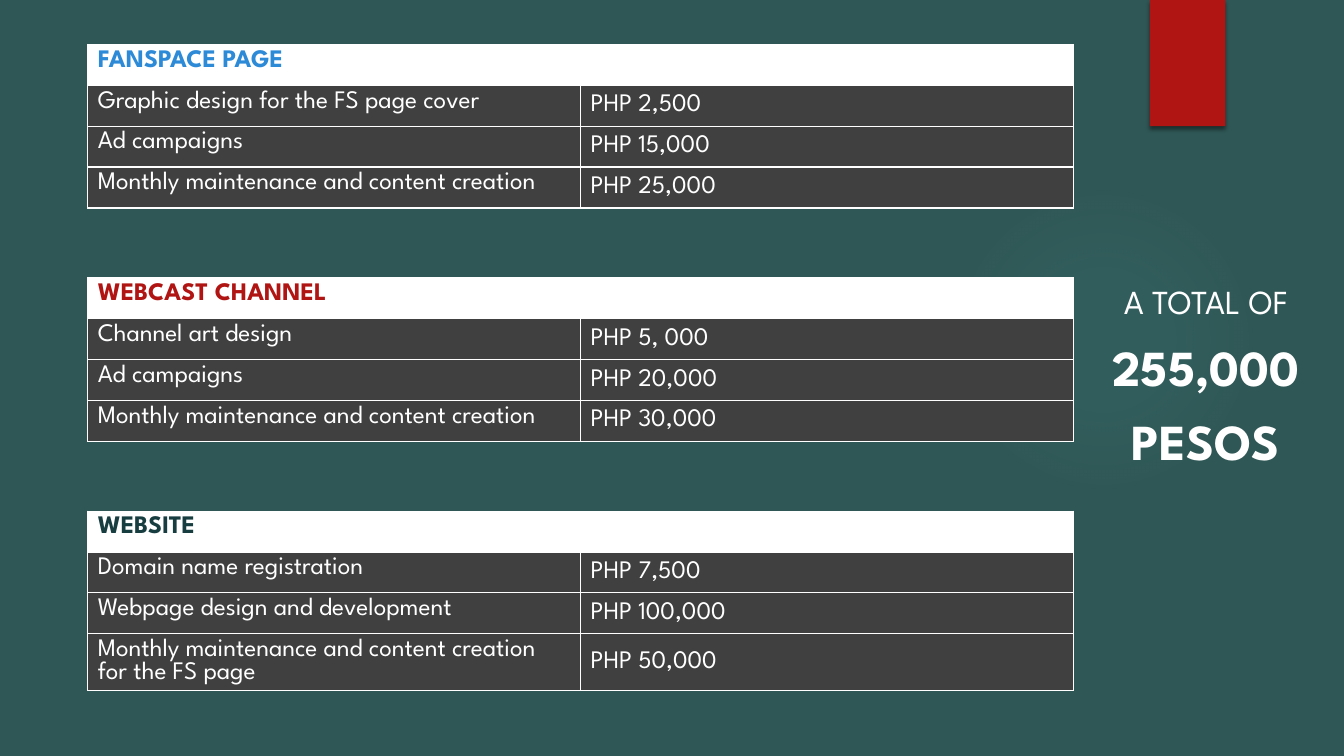
import pptx
import pptx.util
import pptx.oxml
import pptx.dml.color
import pptx.enum.shapes
import pptx.enum.text
from pptx.util import Cm

NS = 'xmlns:a="http://schemas.openxmlformats.org/drawingml/2006/main"'
FONT = "League Spartan"
COLORS = {
    "back": "2F5755", "glow": "50B9C1", "ribbon": "B01513", "shadow": "000000",
    "white": "FFFFFF", "row": "404040",
    "page": "2D8AD7", "channel": "B01513", "website": "173D40",
}
BUDGETS = [
    ("FANSPACE PAGE", "page", [
        ("Graphic design for the FS page cover", "PHP 2,500"),
        ("Ad campaigns", "PHP 15,000"),
        ("Monthly maintenance and content creation", "PHP 25,000")]),
    ("WEBCAST CHANNEL", "channel", [
        ("Channel art design", "PHP 5, 000"),
        ("Ad campaigns", "PHP 20,000"),
        ("Monthly maintenance and content creation", "PHP 30,000")]),
    ("WEBSITE", "website", [
        ("Domain name registration", "PHP 7,500"),
        ("Webpage design and development", "PHP 100,000"),
        ("Monthly maintenance and content creation for the FS page", "PHP 50,000")]),
]
TOTAL = [("A TOTAL OF", 24, False), ("255,000", 36, True), ("PESOS", 36, True)]
TABLE_LEFT, TABLE_TOP, TABLE_PITCH = 2.21, 1.12, 5.88
COL_WIDTH, ROW_HEIGHT = 12.42, 1.03


def rgb(name):
    return pptx.dml.color.RGBColor.from_string(COLORS[name])


def paint(fill, color):
    fill.solid()
    fill.fore_color.rgb = rgb(color)


def add_run(p, text, color, size, bold=False):
    r = p.add_run()
    r.text = text
    values = {"name": FONT, "size": pptx.util.Pt(size), "bold": bold}
    for key, value in values.items():
        setattr(r.font, key, value)
    r.font.color.rgb = rgb(color)


def add_plain_shape(s, kind, left, top, width, height):
    sp = s.shapes.add_shape(kind, Cm(left), Cm(top), Cm(width), Cm(height))
    sp.shadow.inherit = False
    sp.line.fill.background()
    return sp


def add_glow(s):
    sp = add_plain_shape(s, pptx.enum.shapes.MSO_SHAPE.OVAL, 23.9, 4.65, 7.82, 7.82)
    stops = "".join(
        f'<a:gs pos="{pos * 1000}"><a:srgbClr val="{COLORS["glow"]}">'
        f'<a:alpha val="{alpha * 1000}"/></a:srgbClr></a:gs>'
        for pos, alpha in [(0, 7), (36, 6), (69, 0), (100, 0)])
    grad = pptx.oxml.parse_xml(
        f'<a:gradFill {NS} rotWithShape="1"><a:gsLst>{stops}</a:gsLst><a:path path="circle">'
        '<a:fillToRect l="50000" t="50000" r="50000" b="50000"/></a:path></a:gradFill>')
    sp.fill.background()
    spPr = sp._element.spPr
    spPr.replace(spPr.find(pptx.oxml.ns.qn("a:noFill")), grad)


def add_ribbon(s):
    sp = add_plain_shape(s, pptx.enum.shapes.MSO_SHAPE.RECTANGLE, 28.98, 0, 1.9, 3.18)
    paint(sp.fill, "ribbon")
    effects = sp._element.spPr.find(pptx.oxml.ns.qn("a:effectLst"))
    effects.append(pptx.oxml.parse_xml(
        f'<a:outerShdw {NS} blurRad="38100" dist="25400" dir="5400000" rotWithShape="0">'
        f'<a:srgbClr val="{COLORS["shadow"]}"><a:alpha val="45000"/></a:srgbClr></a:outerShdw>'))


def format_cell(cell, fill):
    tcPr = cell._tc.get_or_add_tcPr()
    for side in "LRTB":
        tcPr.append(pptx.oxml.parse_xml(
            f'<a:ln{side} {NS} w="12700"><a:solidFill><a:srgbClr val="{COLORS["white"]}"/>'
            f'</a:solidFill></a:ln{side}>'))
    paint(cell.fill, fill)


def add_budget_table(s, top, title, color, items):
    rows = len(items) + 1
    table = s.shapes.add_table(rows, 2, Cm(TABLE_LEFT), Cm(top),
                               Cm(2 * COL_WIDTH), Cm(rows * ROW_HEIGHT)).table
    for col in table.columns:
        col.width = Cm(COL_WIDTH)
    for row in table.rows:
        row.height = Cm(ROW_HEIGHT)
    for cell in table.rows[0].cells:
        format_cell(cell, "white")
    header = table.cell(0, 0)
    header.merge(table.cell(0, 1))
    add_run(header.text_frame.paragraphs[0], title, color, 18, True)
    for i, item in enumerate(items, 1):
        for j, text in enumerate(item):
            cell = table.cell(i, j)
            format_cell(cell, "row")
            add_run(cell.text_frame.paragraphs[0], text, "white", 18)
        table.cell(i, 1).vertical_anchor = pptx.enum.text.MSO_ANCHOR.MIDDLE


def add_total(s):
    tf = s.shapes.add_textbox(Cm(27.38), Cm(7.29), Cm(6.02), Cm(4.37)).text_frame
    tf.word_wrap = True
    tf.vertical_anchor = pptx.enum.text.MSO_ANCHOR.MIDDLE
    for i, (text, size, bold) in enumerate(TOTAL):
        p = tf.add_paragraph() if i else tf.paragraphs[0]
        p.alignment = pptx.enum.text.PP_ALIGN.CENTER
        p.space_before = pptx.util.Pt(10 if i else 0)
        add_run(p, text, "white", size, bold)


def main():
    prs = pptx.Presentation()
    prs.slide_width, prs.slide_height = Cm(33.87), Cm(19.05)
    s = prs.slides.add_slide(prs.slide_layouts[6])
    paint(s.background.fill, "back")
    add_glow(s)
    add_ribbon(s)
    for i, budget in enumerate(BUDGETS):
        add_budget_table(s, TABLE_TOP + i * TABLE_PITCH, *budget)
    add_total(s)
    prs.save("out.pptx")


if __name__ == "__main__":
    main()
